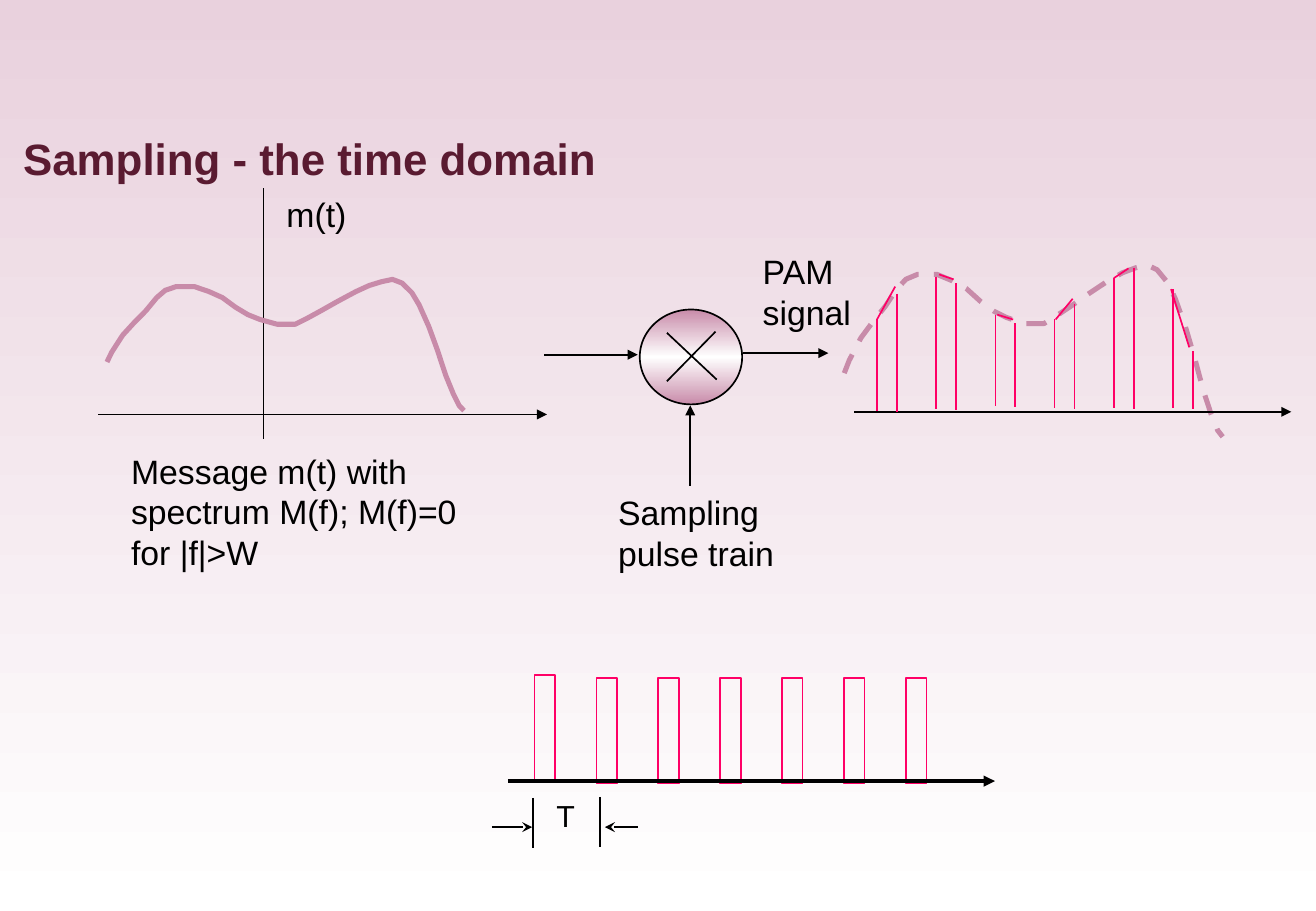
import copy

import lxml.etree
import pptx
import pptx.dml.color
import pptx.enum.dml
import pptx.enum.shapes
import pptx.enum.text
import pptx.oxml.ns
import pptx.util

Pt = pptx.util.Pt
RGB = pptx.dml.color.RGBColor.from_string
qn = pptx.oxml.ns.qn
MSO_SHAPE = pptx.enum.shapes.MSO_SHAPE
AUTO_SIZE = pptx.enum.text.MSO_AUTO_SIZE

COLORS = {
    "sky": "E9D1DD",
    "white": "FFFFFF",
    "title": "5A1B31",
    "ink": "000000",
    "wave": "C88BA9",
    "pulse": "FF0066",
}


def draw_line(parent, ends, color="ink", width=1, arrow=None):
    line = parent.add_connector(
        pptx.enum.shapes.MSO_CONNECTOR.STRAIGHT, *[Pt(value) for value in ends]
    )
    line.line.color.rgb = RGB(COLORS[color])
    line.line.width = Pt(width)
    properties = line._element.spPr
    if arrow:
        lxml.etree.SubElement(properties.find(qn("a:ln")), qn("a:tailEnd"), type=arrow)
    lxml.etree.SubElement(properties, qn("a:effectLst"))


def write_label(parent, text, box, size=20, wrap=True):
    frame = parent.add_textbox(*[Pt(value) for value in box]).text_frame
    frame.text = text
    frame_format = {"word_wrap": wrap, "auto_size": AUTO_SIZE.SHAPE_TO_FIT_TEXT}
    for attribute, value in frame_format.items():
        setattr(frame, attribute, value)
    font = frame.paragraphs[0].runs[0].font
    for attribute, value in {"name": "Arial", "size": Pt(size)}.items():
        setattr(font, attribute, value)
    font.color.rgb = RGB(COLORS["ink"])


deck = pptx.Presentation()
deck.slide_width, deck.slide_height = Pt(780), Pt(540)
slide = deck.slides.add_slide(deck.slide_layouts[5])
shapes = slide.shapes

backdrop = slide.background.fill
backdrop.gradient()
backdrop.gradient_angle = 270
for stop, color in zip(backdrop.gradient_stops, ("sky", "white")):
    stop.color.rgb = RGB(COLORS[color])

title = shapes.title
title_box = {"left": 6.5, "top": 59.8, "width": 766.8, "height": 67.7}
for attribute, value in title_box.items():
    setattr(title, attribute, Pt(value))
title.text_frame.text = "Sampling - the time domain"
title.text_frame.auto_size = AUTO_SIZE.NONE
title.text_frame.vertical_anchor = pptx.enum.text.MSO_ANCHOR.MIDDLE
title_line = title.text_frame.paragraphs[0]
title_line.alignment = pptx.enum.text.PP_ALIGN.LEFT
title_font = title_line.runs[0].font
for attribute, value in {"name": "Arial", "size": Pt(26), "bold": True}.items():
    setattr(title_font, attribute, value)
title_font.color.rgb = RGB(COLORS["title"])

multiplier = shapes.add_shape(MSO_SHAPE.OVAL, Pt(379.2), Pt(183.5), Pt(60.7), Pt(56.2))
multiplier.shadow.inherit = False
multiplier.fill.gradient()
multiplier.fill.gradient_angle = 270
stop_list = multiplier._element.spPr.find(qn("a:gradFill")).find(qn("a:gsLst"))
stop_list.insert(1, copy.deepcopy(stop_list[0]))
multiplier_stops = zip(
    multiplier.fill.gradient_stops, (0, 0.5, 1), ("wave", "white", "wave")
)
for stop, position, color in multiplier_stops:
    stop.position = position
    stop.color.rgb = RGB(COLORS[color])
multiplier.line.color.rgb = RGB(COLORS["ink"])
multiplier.line.width = Pt(1)

plain_lines = [
    (395.3, 197.3, 424.8, 225),
    (395.3, 226, 424.1, 196.6),
    (156.3, 111.6, 156.3, 260.4),
]
signal_arrows = [
    (322.5, 210.3, 378, 210.3),
    (440.6, 209.3, 491, 209.3),
    (409.1, 288, 409.1, 240.3),
    (58.3, 245.7, 324.2, 245.7),
]
for ends in plain_lines:
    draw_line(shapes, ends)
for ends in signal_arrows:
    draw_line(shapes, ends, arrow="triangle")

message = [
    (63.4, 214.6), (66.2, 208.8), (72.7, 198.7), (79.9, 190.8),
    (86.4, 184.3), (92.9, 176.4), (97.9, 172.1), (104.4, 169.9),
    (115.2, 169.9), (123.8, 172.8), (131.8, 176.4), (139.7, 182.2),
    (146.9, 186.5), (154.1, 189.4), (164.2, 192.2), (175, 192.2),
    (182.2, 188.6), (190.1, 184.3), (200.2, 178.6), (211, 172.8),
    (218.9, 169.2), (226.1, 167), (232.6, 165.6), (238.3, 167.8),
    (244.1, 173.5), (248.4, 180.7), (254.2, 193.7), (259.2, 207.4),
    (264.2, 222.5), (268.6, 233.3), (272.2, 240.5), (275, 243.4),
]
envelope = [(500.4 + (x - 63.4) * 1.06, 157 + (y - 165.6) * 1.31) for x, y in message]
for wave, dash in ((message, "SOLID"), (envelope, "DASH")):
    points = [(Pt(x), Pt(y)) for x, y in wave]
    builder = shapes.build_freeform(*points[0])
    builder.add_line_segments(points[1:], close=False)
    curve = builder.convert_to_shape()
    curve.shadow.inherit = False
    curve.fill.background()
    curve.line.color.rgb = RGB(COLORS["wave"])
    curve.line.width = Pt(3)
    curve.line.dash_style = pptx.enum.dml.MSO_LINE[dash]

pam_signal = shapes.add_group_shape().shapes
draw_line(pam_signal, (506.2, 244.1, 765.4, 244.1), arrow="triangle")
samples = [
    (189.4, 174.2, 243.4),
    (164.2, 167.8, 242.6),
    (186.5, 191.5, 240.5),
    (189.4, 180, 241.9),
    (164.9, 159.1, 241.9),
    (171.4, 208.1, 241.9),
]
for index, (left_top, right_top, bottom) in enumerate(samples):
    x = 519.8 + 35.1 * index
    draw_line(pam_signal, (x, left_top, x, bottom), "pulse")
    draw_line(pam_signal, (x + 11.8, right_top, x + 11.8, bottom + 0.7), "pulse")
sample_tops = [
    (519.8, 189.4, 530.6, 169.9),
    (556.6, 162.7, 565.2, 165.6),
    (591.1, 186.5, 600.5, 189.4),
    (625.7, 189.4, 635.8, 177.1),
    (660.2, 164.9, 668.9, 159.1),
    (694.1, 171.4, 704.9, 205.9),
]
for ends in sample_tops:
    draw_line(pam_signal, ends, "pulse")
write_label(pam_signal, "PAM signal", (445, 145.4, 88.6, 54.7))

write_label(shapes, "m(t)", (162.7, 111.6, 50.4, 31), wrap=False)
write_label(
    shapes,
    "Message m(t) with spectrum M(f); M(f)=0 for |f|>W",
    (70.6, 263.5, 233.3, 79.2),
)
write_label(shapes, "Sampling pulse train", (359.3, 288, 126.7, 54.7))

period_marks = shapes.add_group_shape().shapes
draw_line(period_marks, (316.1, 473, 316.1, 502.6))
draw_line(period_marks, (355.7, 472.3, 355.7, 501.8))
for ends in ((291.6, 490.3, 315.4, 490.3), (378, 490.3, 358.6, 490.3)):
    draw_line(shapes, ends, arrow="stealth")
write_label(shapes, "T", (322.6, 468.7, 25.2, 28.8), size=18, wrap=False)

for index in range(7):
    top = 401.8 if index else 400.3
    pulse = shapes.add_shape(
        MSO_SHAPE.RECTANGLE, Pt(316.8 + 36.7 * index), Pt(top), Pt(12.2), Pt(62.6)
    )
    pulse.shadow.inherit = False
    pulse.fill.background()
    pulse.line.color.rgb = RGB(COLORS["pulse"])
    pulse.line.width = Pt(1)
draw_line(shapes, (301, 463, 589.7, 463), width=2.25, arrow="triangle")

deck.save("out.pptx")
